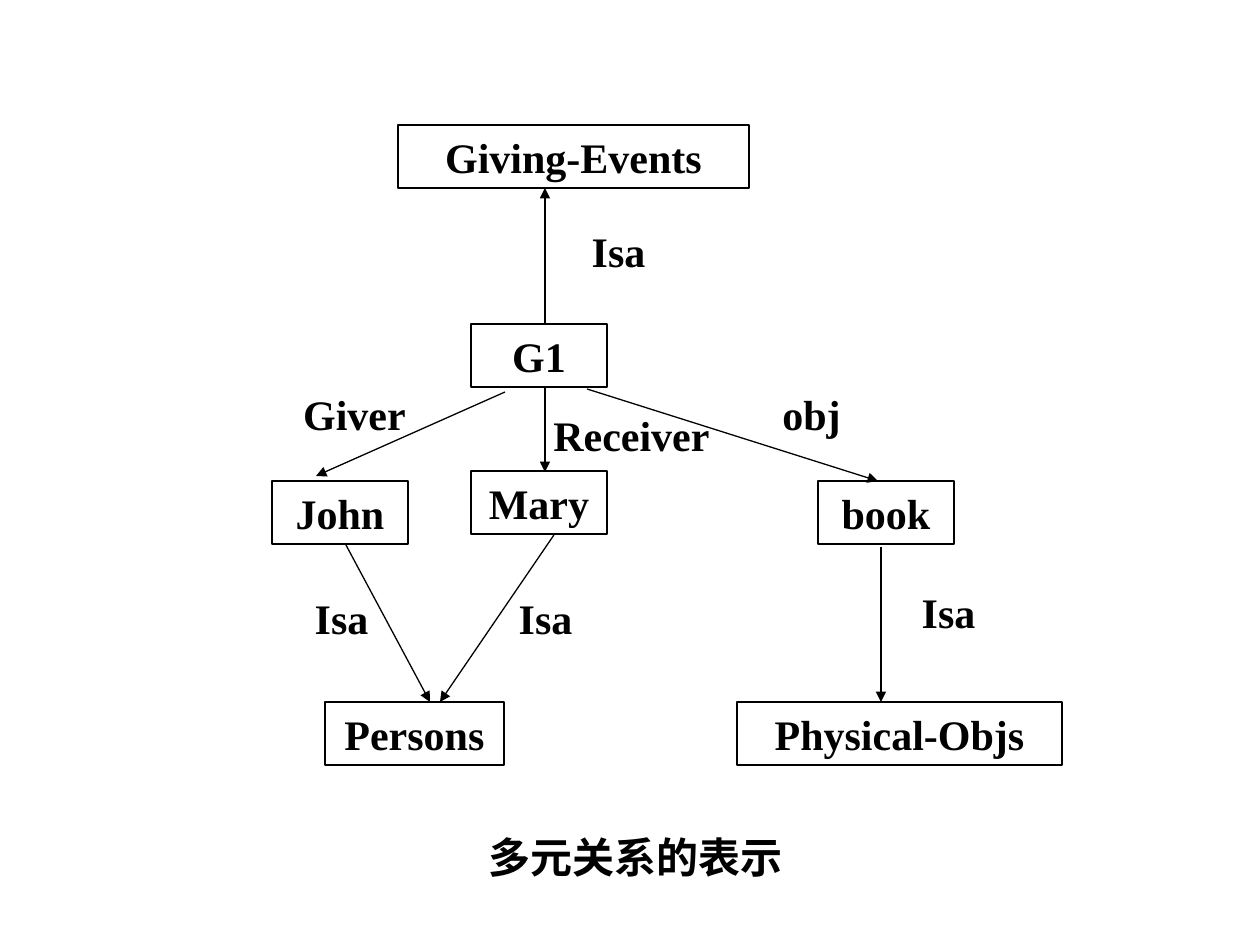
from pptx import Presentation
from pptx.dml.color import RGBColor
from pptx.enum.shapes import MSO_CONNECTOR as CONNECTOR, MSO_SHAPE as SHAPE
from pptx.enum.text import MSO_ANCHOR as ANCHOR, PP_ALIGN as ALIGN
from pptx.oxml.ns import qn
from pptx.util import Pt
from lxml.etree import SubElement

EMU_PER_PX = 914400 / 126
COLORS = {"ink": "000000"}
ROW_HEIGHT = 63


def px(length):
    return round(length * EMU_PER_PX)


class SemanticNet:
    """Holds the style and the current slide."""

    font_name = "Times New Roman"
    font_size = Pt(24)
    line_width = Pt(0.75)
    ink = RGBColor.from_string(COLORS["ink"])

    def __init__(self, slide):
        self.slide = slide

    def set_text(self, shape, text, align, font_name):
        frame = shape.text_frame
        frame.text = text
        frame.word_wrap = True
        frame.vertical_anchor = ANCHOR.TOP
        paragraph = frame.paragraphs[0]
        paragraph.alignment = align
        font = paragraph.runs[0].font
        font.name, font.size, font.bold = font_name, self.font_size, True
        font.color.rgb = self.ink

    def node(self, text, left, top, width):
        shape = self.slide.shapes.add_shape(
            SHAPE.RECTANGLE, px(left), px(top), px(width), px(ROW_HEIGHT))
        shape.shadow.inherit = False
        shape.fill.background()
        shape.line.color.rgb = self.ink
        shape.line.width = self.line_width
        self.set_text(shape, text, ALIGN.CENTER, self.font_name)

    def label(self, text, left, top, width, align=ALIGN.CENTER, font_name=font_name):
        shape = self.slide.shapes.add_textbox(
            px(left), px(top), px(width), px(ROW_HEIGHT))
        self.set_text(shape, text, align, font_name)

    def arrow(self, x1, y1, x2, y2):
        connector = self.slide.shapes.add_connector(
            CONNECTOR.STRAIGHT, px(x1), px(y1), px(x2), px(y2))
        connector.line.color.rgb = self.ink
        connector.line.width = self.line_width
        properties = connector._element.spPr
        SubElement(properties.find(qn("a:ln")), qn("a:tailEnd"), type="triangle")
        SubElement(properties, qn("a:effectLst"))


def main():
    presentation = Presentation()
    presentation.slide_width, presentation.slide_height = px(1260), px(945)
    blank_layout = presentation.slide_layouts[6]
    net = SemanticNet(presentation.slides.add_slide(blank_layout))

    # Nodes: text, left, top, width
    for node in [
        ("Giving-Events", 398, 125, 351),
        ("John", 272, 481, 136),
        ("Mary", 471, 471, 136),
        ("book", 818, 481, 136),
        ("Physical-Objs", 737, 702, 325),
        ("Persons", 325, 702, 179),
        ("G1", 471, 324, 136),
    ]:
        net.node(*node)

    # Relations: start and end points
    for arrow in [
        (545, 324, 545, 188),
        (505, 392, 316, 476),
        (545, 388, 545, 472),
        (587, 389, 878, 481),
        (346, 545, 430, 702),
        (554, 535, 440, 702),
        (881, 547, 881, 702),
    ]:
        net.arrow(*arrow)

    # Relation names: text, left, top, width
    for label in [
        ("Isa", 566, 219, 105),
        ("obj", 722, 382, 179),
        ("Receiver", 537, 403, 189),
        ("Giver", 282, 382, 145),
        ("Isa", 493, 586, 105),
        ("Isa", 294, 586, 95),
        ("Isa", 896, 580, 105),
    ]:
        net.label(*label)

    # Caption
    net.label("多元关系的表示", 476, 825, 354, ALIGN.LEFT, "Karla")

    presentation.save("out.pptx")


if __name__ == "__main__":
    main()
